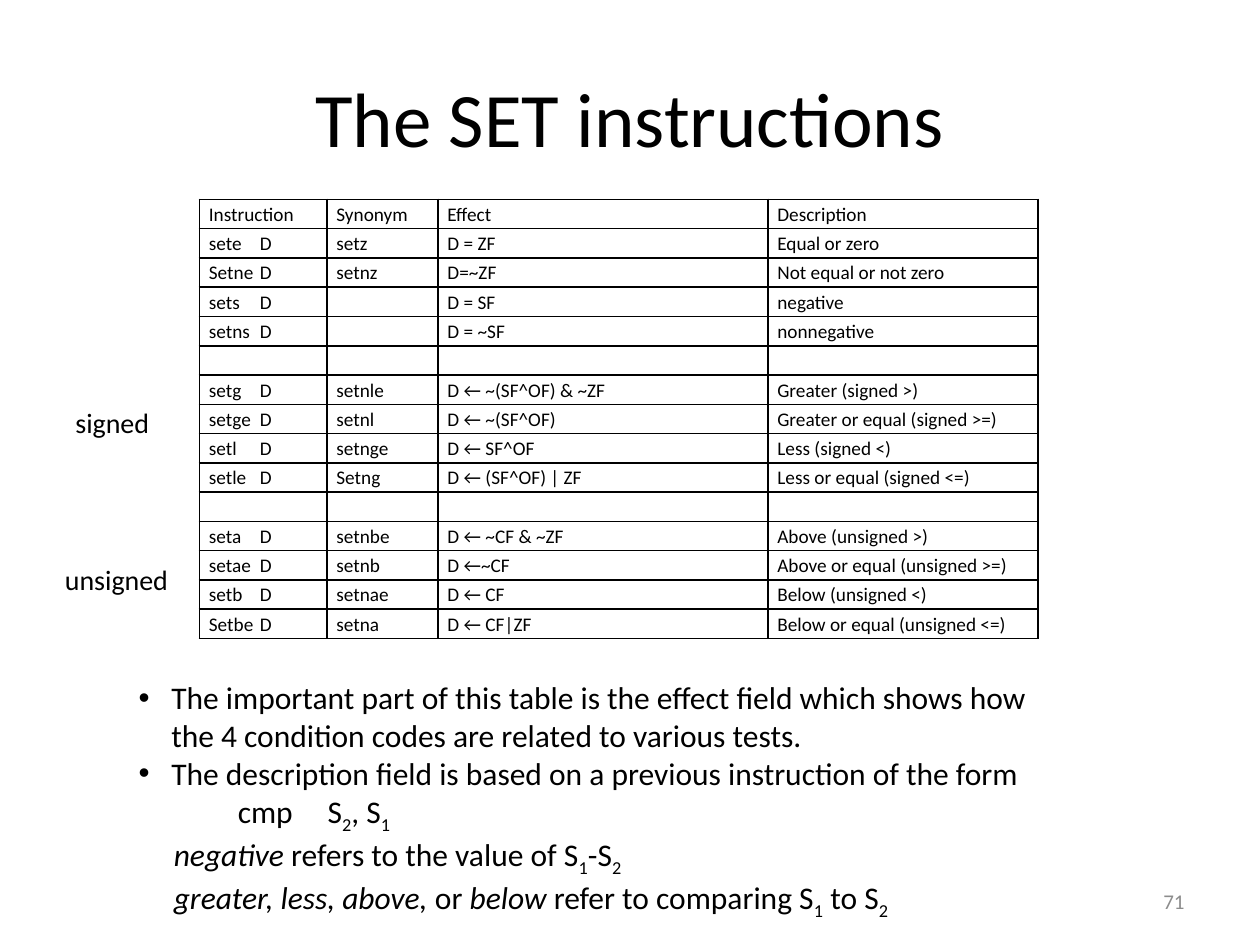
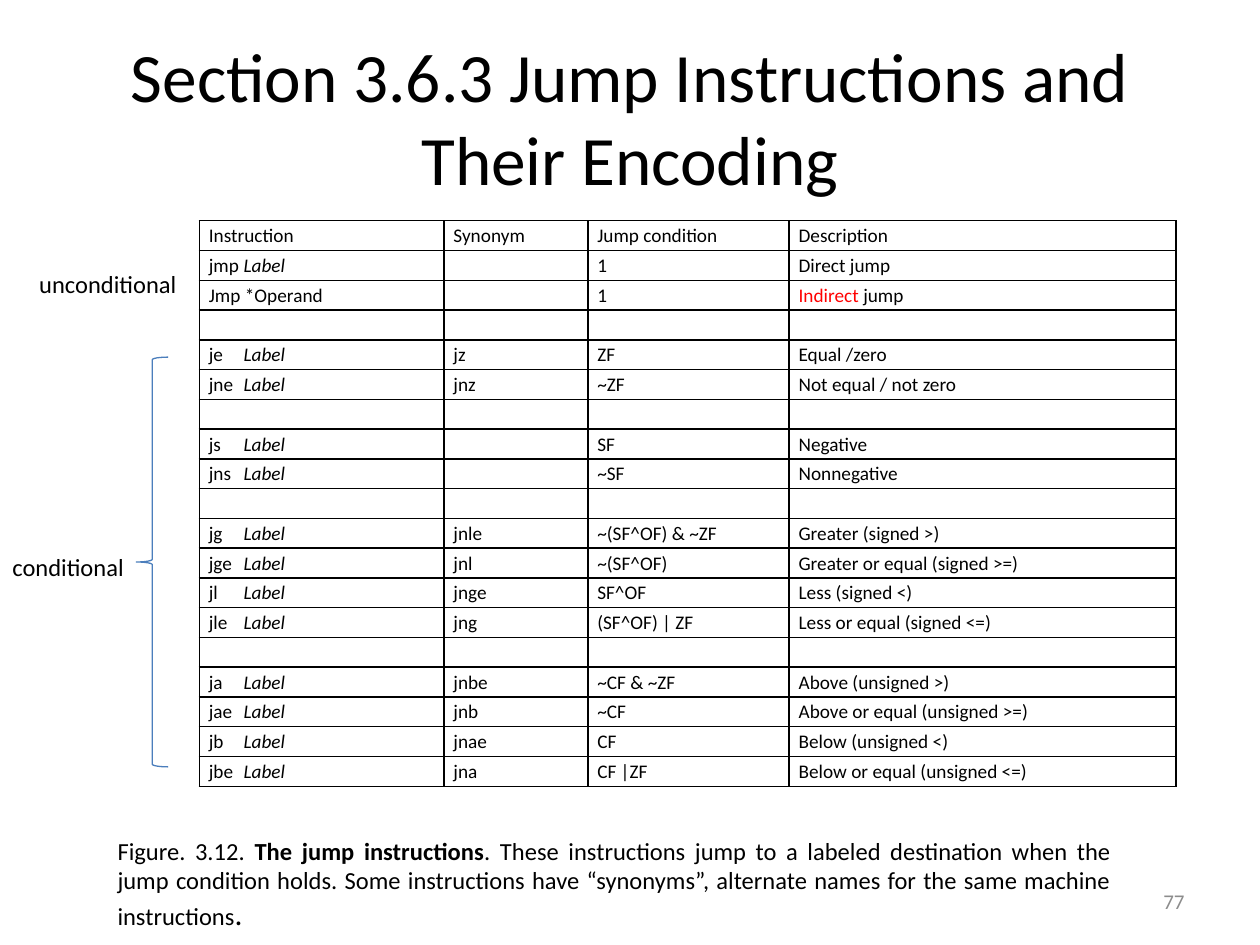
from lxml.etree import SubElement
from pptx import Presentation
from pptx.dml.color import RGBColor
from pptx.enum.shapes import MSO_SHAPE as Shape
from pptx.enum.text import MSO_ANCHOR as Anchor, MSO_AUTO_SIZE as AutoSize, PP_ALIGN as Align
from pptx.oxml import parse_xml
from pptx.oxml.ns import nsdecls, qn
from pptx.util import Cm, Pt

COLORS = {"ink": "000000", "accent": "FF0000", "brace": "4B7EBC", "number": "8C8C8C"}
FONT = "Calibri"
CELL_SIZE = 11
TABLE_LEFT = 4.02
ITALIC = {"italic": True}
SUBSCRIPT = {"subscript": True}

SET_ROWS = [
    ("Instruction", "Synonym", "Effect", "Description"),
    ("sete\tD", "setz", "D = ZF", "Equal or zero"),
    ("Setne\tD", "setnz", "D=~ZF", "Not equal or not zero"),
    ("sets\tD", "", "D = SF", "negative"),
    ("setns\tD", "", "D = ~SF", "nonnegative"),
    ("", "", "", ""),
    ("setg\tD", "setnle", "D ← ~(SF^OF) & ~ZF", "Greater (signed >)"),
    ("setge\tD", "setnl", "D ← ~(SF^OF)", "Greater or equal (signed >=)"),
    ("setl\tD", "setnge", "D ← SF^OF", "Less (signed <)"),
    ("setle\tD", "Setng", "D ← (SF^OF) | ZF", "Less or equal (signed <=)"),
    ("", "", "", ""),
    ("seta\tD", "setnbe", "D ← ~CF & ~ZF", "Above (unsigned >)"),
    ("setae\tD", "setnb", "D ←~CF", "Above or equal (unsigned >=)"),
    ("setb\tD", "setnae", "D ← CF", "Below (unsigned <)"),
    ("Setbe\tD", "setna", "D ← CF|ZF", "Below or equal (unsigned <=)"),
]


def to_label(mnemonic):
    return [(mnemonic + "\t", {}), ("Label", ITALIC)]


JUMP_ROWS = [
    ("Instruction", "Synonym", "Jump condition", "Description"),
    (to_label("jmp"), "", "1", "Direct jump"),
    ("Jmp *Operand", "", "1", [("Indirect", {"color": "accent"}), (" jump", {})]),
    ("", "", "", ""),
    (to_label("je"), "jz", "ZF", "Equal /zero"),
    (to_label("jne"), "jnz", "~ZF", "Not equal / not zero"),
    ("", "", "", ""),
    (to_label("js"), "", "SF", "Negative"),
    (to_label("jns"), "", "~SF", "Nonnegative"),
    ("", "", "", ""),
    (to_label("jg"), "jnle", "~(SF^OF) & ~ZF", "Greater (signed >)"),
    (to_label("jge"), "jnl", "~(SF^OF)", "Greater or equal (signed >=)"),
    (to_label("jl"), "jnge", "SF^OF", "Less (signed <)"),
    (to_label("jle"), "jng", "(SF^OF) | ZF", "Less or equal (signed <=)"),
    ("", "", "", ""),
    (to_label("ja"), "jnbe", "~CF & ~ZF", "Above (unsigned >)"),
    (to_label("jae"), "jnb", "~CF", "Above or equal (unsigned >=)"),
    (to_label("jb"), "jnae", "CF", "Below (unsigned <)"),
    (to_label("jbe"), "jna", "CF |ZF", "Below or equal (unsigned <=)"),
]

NOTES = [
    ("The important part of this table is the effect field which shows how "
     "the 4 condition codes are related to various tests.", {}),
    ("The description field is based on a previous instruction of the form", {}),
    ([("cmp\tS", {}), ("2", SUBSCRIPT), (", S", {}), ("1", SUBSCRIPT)],
     {"bullet": False, "margin": 0, "indent": 2, "tab": 3.55}),
    ([("negative", ITALIC), (" refers to the value of S", {}), ("1", SUBSCRIPT),
      ("-S", {}), ("2", SUBSCRIPT)],
     {"bullet": False, "margin": 0.71, "indent": 0}),
    ([("greater, less, above, ", ITALIC), ("or", {}), (" below ", ITALIC),
      ("refer to comparing S", {}), ("1", SUBSCRIPT), (" to S", {}), ("2", SUBSCRIPT)],
     {"bullet": False, "margin": 0.71, "indent": 0}),
]

CAPTION = [
    ("Figure. 3.12. ", {}),
    ("The jump instructions", {"bold": True}),
    (". These instructions jump to a labeled destination when the jump condition holds. "
     "Some instructions have “synonyms”, alternate names for the same machine instructions", {}),
    (".", {"size": 18}),
]


def add_span(para, text, size=18, color="ink", bold=False, italic=False, subscript=False):
    span = para.add_run()
    span.text = text
    font = span.font
    font.name, font.size, font.bold, font.italic = FONT, Pt(size), bold, italic
    font.color.rgb = RGBColor.from_string(COLORS[color])
    if subscript:
        span._r.get_or_add_rPr().set("baseline", "-25000")


def write(para, content, align=Align.LEFT, **format):
    """Fill a paragraph with plain text or with (text, format) spans."""
    para.alignment = align
    spans = [(content, {})] if isinstance(content, str) else content
    for text, own in spans:
        add_span(para, text, **{**format, **own})


def add_tab(para, position):
    tabs = SubElement(para._p.get_or_add_pPr(), qn("a:tabLst"))
    SubElement(tabs, qn("a:tab"), pos=str(Cm(position)), algn="l")


def place(shape, left, top, width, height):
    shape.left, shape.top = Cm(left), Cm(top)
    shape.width, shape.height = Cm(width), Cm(height)


def add_box(page, content, left, top, width, height, anchor=Anchor.TOP, **format):
    box = page.shapes.add_textbox(Cm(left), Cm(top), Cm(width), Cm(height))
    box.text_frame.word_wrap = True
    box.text_frame.vertical_anchor = anchor
    write(box.text_frame.paragraphs[0], content, **format)


def add_page(deck, layout, title, number, title_size):
    page = deck.slides.add_slide(deck.slide_layouts[layout])
    place(page.shapes.title, 1.27, 0.76, 22.86, 3.18)
    frame = page.shapes.title.text_frame
    frame.auto_size = AutoSize.NONE
    frame.vertical_anchor = Anchor.MIDDLE
    write(frame.paragraphs[0], title, align=Align.CENTER, size=title_size)
    add_box(page, number, 18.2, 17.65, 5.93, 1.02, anchor=Anchor.MIDDLE,
            align=Align.RIGHT, size=12, color="number")
    return page


def style_cell(cell):
    cell.fill.background()
    cell.margin_left = cell.margin_right = Cm(0.19)
    cell.margin_top = cell.margin_bottom = 0
    properties = cell._tc.get_or_add_tcPr()
    for index, side in enumerate("LRTB"):
        properties.insert(index, parse_xml(
            f'<a:ln{side} {nsdecls("a")} w="12700"><a:solidFill>'
            f'<a:srgbClr val="{COLORS["ink"]}"/></a:solidFill></a:ln{side}>'))


def fill_cell(cell, content, tab):
    style_cell(cell)
    para = cell.text_frame.paragraphs[0]
    para.line_spacing = 1.15
    add_tab(para, tab)
    if content:
        write(para, content, size=CELL_SIZE)
    else:
        SubElement(para._p, qn("a:endParaRPr"), sz=str(CELL_SIZE * 100))


def add_grid(page, rows, widths, top, row_height, tab):
    frame = page.shapes.add_table(len(rows), len(widths), Cm(TABLE_LEFT), Cm(top),
                                  Cm(sum(widths)), Cm(row_height * len(rows)))
    table = frame.table
    table.first_row = table.horz_banding = False
    for column, width in zip(table.columns, widths):
        column.width = Cm(width)
    for row, contents in zip(table.rows, rows):
        row.height = Cm(row_height)
        for cell, content in zip(row.cells, contents):
            fill_cell(cell, content, tab)


def add_note(para, content, bullet=True, margin=0.66, indent=-0.66, tab=None):
    para.space_before = Pt(0)
    properties = para._p.get_or_add_pPr()
    properties.set("marL", str(Cm(margin)))
    properties.set("indent", str(Cm(indent)))
    if not bullet:
        SubElement(properties, qn("a:buNone"))
    if tab:
        add_tab(para, tab)
    write(para, content)


def fill_notes(body, notes):
    place(body, 2.54, 13.55, 18.85, 4.88)
    frame = body.text_frame
    frame.auto_size = AutoSize.NONE
    for index, (content, layout) in enumerate(notes):
        para = frame.add_paragraph() if index else frame.paragraphs[0]
        add_note(para, content, **layout)


def add_brace(page, left, top, width, height):
    brace = page.shapes.add_shape(Shape.LEFT_BRACE, Cm(left), Cm(top), Cm(width), Cm(height))
    brace.shadow.inherit = False
    brace.fill.background()
    brace.line.color.rgb = RGBColor.from_string(COLORS["brace"])
    brace.line.width = Pt(0.75)


def add_set_page(deck):
    page = add_page(deck, 1, "The SET instructions", "71", 44)
    add_grid(page, SET_ROWS, [2.57, 2.24, 6.65, 5.44], 4.02, 0.59, tab=1.03)
    fill_notes(page.placeholders[1], NOTES)
    add_box(page, "signed", 1.27, 8.05, 2.34, 0.94, size=16)
    add_box(page, "unsigned", 1.06, 11.22, 2.75, 0.94, size=16)


def add_jump_page(deck):
    page = add_page(deck, 5, "Section 3.6.3 Jump Instructions and Their Encoding", "77", 39.6)
    add_grid(page, JUMP_ROWS, [4.93, 2.9, 4.06, 7.8], 4.45, 0.6, tab=0.7)
    add_box(page, CAPTION, 2.12, 16.72, 20.53, 2.23, align=Align.JUSTIFY, size=14)
    add_box(page, "unconditional", 0, 5.29, 3.81, 0.86, align=Align.RIGHT, size=14)
    add_box(page, "conditional", 0, 11.01, 3.18, 0.86, size=14)
    add_brace(page, 2.75, 7.2, 0.64, 8.26)


def main():
    deck = Presentation()
    deck.slide_width, deck.slide_height = Cm(25.4), Cm(19.05)
    add_set_page(deck)
    add_jump_page(deck)
    deck.save("out.pptx")


if __name__ == "__main__":
    main()
